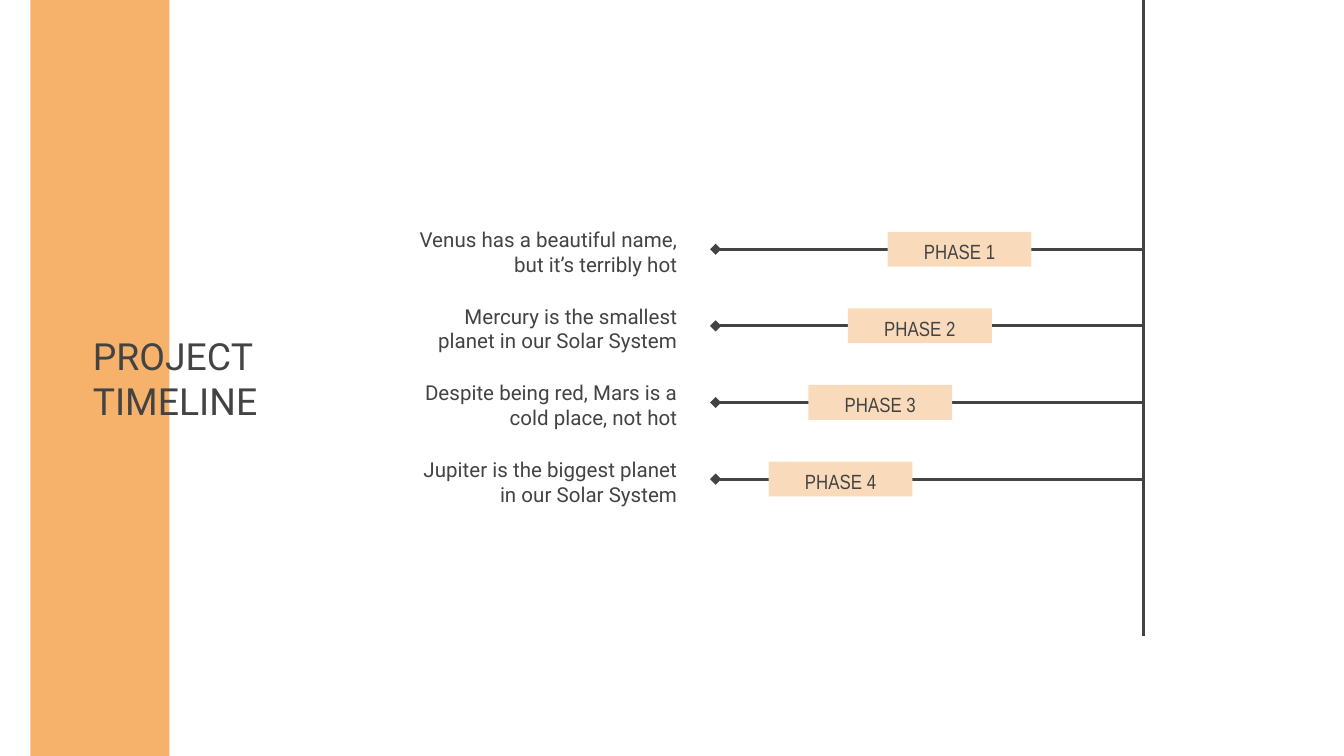
from dataclasses import dataclass

from lxml.etree import SubElement
from pptx import Presentation
from pptx.dml.color import RGBColor
from pptx.enum.shapes import MSO_CONNECTOR, MSO_SHAPE
from pptx.enum.text import MSO_ANCHOR, MSO_AUTO_SIZE, PP_ALIGN
from pptx.oxml.ns import qn
from pptx.util import Pt

PX = 4572  # EMU: 200 px to the inch
SLIDE_WIDTH, SLIDE_HEIGHT = 2000, 1125
COMPARISON_LAYOUT = 4  # a title and four text placeholders


@dataclass(frozen=True)
class Theme:
    ink: RGBColor = RGBColor(0x43, 0x43, 0x43)
    band: RGBColor = RGBColor(0xF6, 0xB2, 0x6B)
    chip: RGBColor = RGBColor(0xF9, 0xDB, 0xBB)
    font: str = "Roboto"
    label_font: str = "Arial Narrow"
    title_size: int = 20
    text_size: int = 11
    line_width: float = 1.5


THEME = Theme()

PHASES = [
    ("PHASE 1", "Venus has a beautiful name, but it’s terribly hot"),
    ("PHASE 2", "Mercury is the smallest planet in our Solar System"),
    ("PHASE 3", "Despite being red, Mars is a cold place, not hot"),
    ("PHASE 4", "Jupiter is the biggest planet in our Solar System"),
]


def place(shape, left, top, width, height):
    shape.left, shape.top = left * PX, top * PX
    shape.width, shape.height = width * PX, height * PX


def write(shape, text, font, size, align, anchor=MSO_ANCHOR.TOP):
    """Fill the shape with one unbulleted paragraph in the ink colour."""
    frame = shape.text_frame
    frame.word_wrap = True
    frame.auto_size = MSO_AUTO_SIZE.NONE
    frame.vertical_anchor = anchor
    frame.margin_left = frame.margin_right = 20 * PX
    frame.margin_top = frame.margin_bottom = 20 * PX
    paragraph = frame.paragraphs[0]
    paragraph.alignment = align
    paragraph.space_before = Pt(0)
    properties = paragraph._p.get_or_add_pPr()
    properties.set("marL", "0")
    properties.set("indent", "0")
    SubElement(properties, qn("a:buNone"))
    run = paragraph.add_run()
    run.text = text
    run.font.name = font
    run.font.size = Pt(size)
    run.font.bold = False
    run.font.color.rgb = THEME.ink


def add_block(slide, left, top, width, height, color):
    block = slide.shapes.add_shape(
        MSO_SHAPE.RECTANGLE, left * PX, top * PX, width * PX, height * PX)
    block.shadow.inherit = False
    block.fill.solid()
    block.fill.fore_color.rgb = color
    block.line.fill.background()
    return block


def add_line(slide, x1, y1, x2, y2, diamond_end=False):
    line = slide.shapes.add_connector(
        MSO_CONNECTOR.STRAIGHT, x1 * PX, y1 * PX, x2 * PX, y2 * PX)
    line.line.color.rgb = THEME.ink
    line.line.width = Pt(THEME.line_width)
    if diamond_end:
        SubElement(line.line._get_or_add_ln(), qn("a:tailEnd"), type="diamond")
    SubElement(line._element.spPr, qn("a:effectLst"))


def add_title_panel(slide, left, top, height):
    band = add_block(slide, left, top, 207, height, THEME.band)
    band.element.getparent().insert(2, band.element)  # behind the title
    title = slide.shapes.title
    place(title, left + 73, top + 469, 364, 188)
    write(title, "PROJECT TIMELINE", THEME.font, THEME.title_size,
          PP_ALIGN.LEFT, MSO_ANCHOR.MIDDLE)


def add_phase(slide, description, left, top, width, chip_left, label, text):
    """Draw one row: description, line to the row's right edge, and chip."""
    place(description, left, top, 440, 106)
    write(description, text, THEME.font, THEME.text_size, PP_ALIGN.RIGHT)
    line_top = top + 53
    add_line(slide, left + width, line_top, left + 477, line_top, diamond_end=True)
    add_block(slide, left + chip_left, top + 27, 214, 52, THEME.chip)
    label_box = slide.shapes.add_textbox(
        (left + chip_left) * PX, (top + 18) * PX, 214 * PX, 70 * PX)
    write(label_box, label, THEME.label_font, THEME.text_size, PP_ALIGN.CENTER)


def add_timeline(slide, left, top, width, height):
    """Draw the phases, each chip a step further left, and the right-hand axis."""
    descriptions = list(slide.placeholders)[1:]
    for index, (description, (label, text)) in enumerate(zip(descriptions, PHASES)):
        add_phase(slide, description, left, top + 318 + 114 * index, width,
                  733 - 59 * index, label, text)
    add_line(slide, left + width, top, left + width, top + height)


def main():
    presentation = Presentation()
    presentation.slide_width = SLIDE_WIDTH * PX
    presentation.slide_height = SLIDE_HEIGHT * PX
    slide = presentation.slides.add_slide(
        presentation.slide_layouts[COMPARISON_LAYOUT])
    add_title_panel(slide, 45, 0, SLIDE_HEIGHT)
    add_timeline(slide, 588, 0, 1114, 947)
    presentation.save("out.pptx")


if __name__ == "__main__":
    main()
